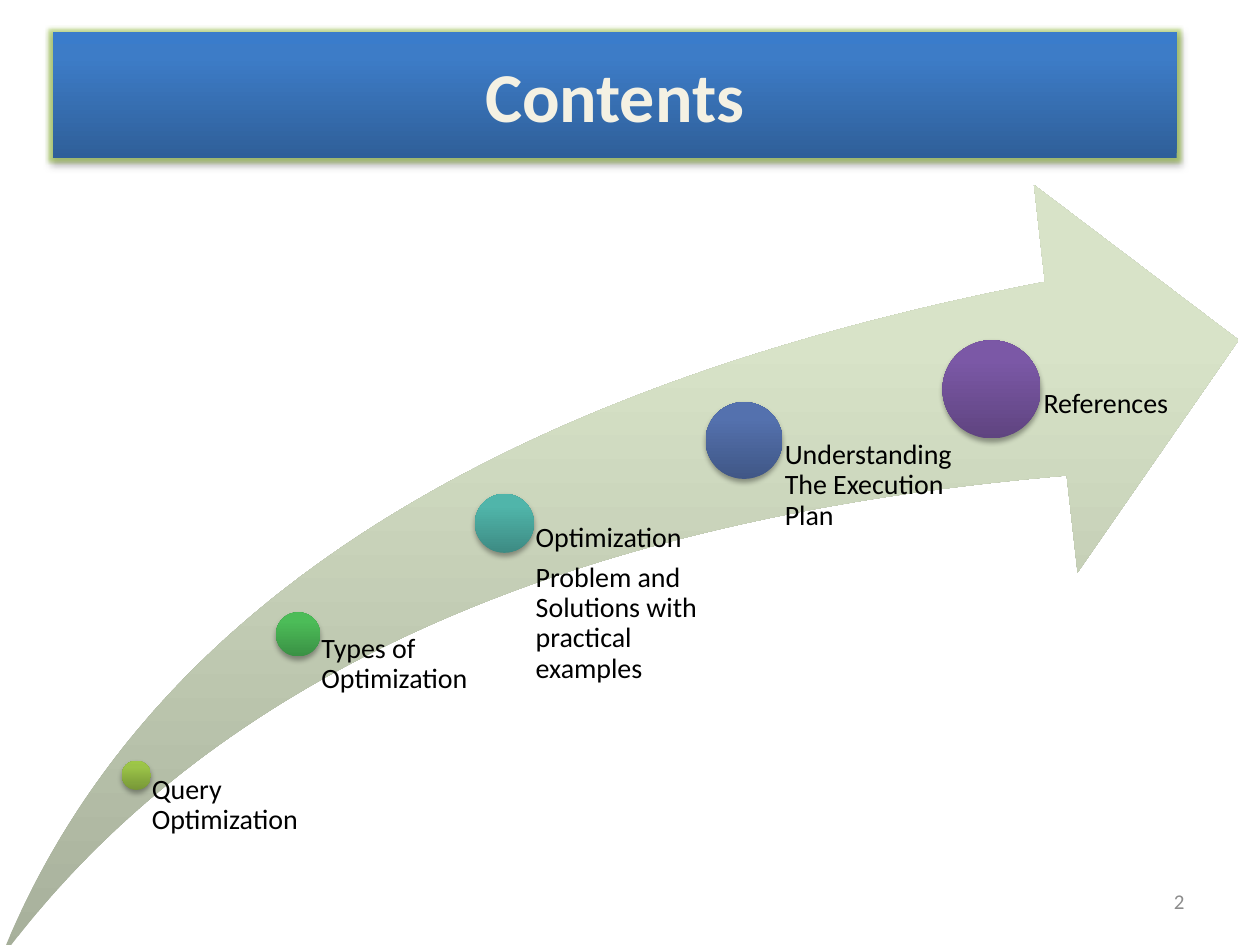
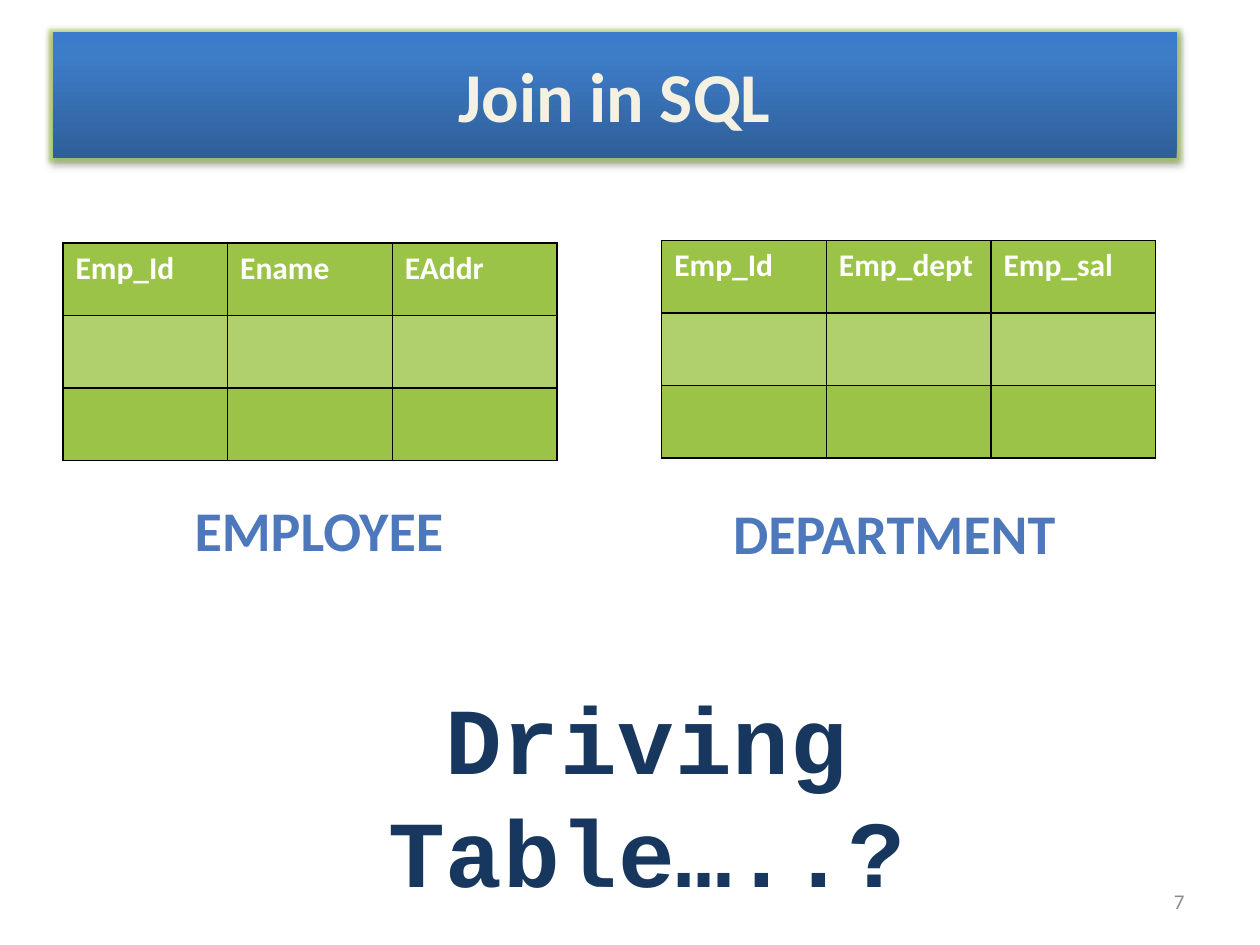
from copy import deepcopy
from dataclasses import dataclass

from lxml import etree
from pptx import Presentation
from pptx.dml.color import RGBColor
from pptx.enum.shapes import MSO_SHAPE
from pptx.enum.text import MSO_ANCHOR, MSO_AUTO_SIZE, PP_ALIGN
from pptx.oxml.ns import qn
from pptx.util import Cm, Pt

ELLIPSE = MSO_SHAPE.OVAL
SWOOSH = MSO_SHAPE.SWOOSH_ARROW
TOP, MIDDLE = MSO_ANCHOR.TOP, MSO_ANCHOR.MIDDLE
LEFT, CENTER, RIGHT = PP_ALIGN.LEFT, PP_ALIGN.CENTER, PP_ALIGN.RIGHT
GROW = MSO_AUTO_SIZE.SHAPE_TO_FIT_TEXT
TITLE_ONLY = 5

COLORS = {
    "title": "F4F1E3",
    "page": "8C8C8C",
    "text": "000000",
    "shadow": "000000",
    "border": "000000",
    "glow": "9BC348",
    "header": "FFFFFF",
    "row": "9BC348",
    "row_light": "AFD06D",
    "caption": "4D79BC",
    "question": "17375E",
}
GRADIENTS = {
    "band": ("2F5F99", "3D7CC7", "3A7CCB"),
    "arrow": ("A6AF9A", "D8E3C8", "D9E4C8"),
    "lime": ("779737", "9BC348", "9DC746"),
    "green": ("3A9144", "4CBC58", "4ABF57"),
    "teal": ("3D8B83", "50B5AA", "4EB8AC"),
    "blue": ("405786", "5471AE", "5271B0"),
    "purple": ("5F4480", "7B58A6", "7C57A8"),
}
GRADIENT_POSITIONS = (0, 0.8, 1)

FONTS = {
    "title": {"name": "Calibri", "size": Pt(40), "bold": True},
    "page": {"name": "Calibri", "size": Pt(12), "bold": False},
    "text": {"name": "Calibri", "size": Pt(16), "bold": False},
    "header": {"name": "Calibri", "size": Pt(18), "bold": True},
    "caption": {"name": "Calibri", "size": Pt(32), "bold": True},
    "question": {"name": "Courier New", "size": Pt(54), "bold": True},
}
TOPIC_SPACING = {"line_spacing": 0.9, "space_after": Pt(5.6)}
ARROW_BOTTOM = 19.35
LABEL_INDENT = 0.53


@dataclass(frozen=True)
class Box:
    left: float
    top: float
    width: float
    height: float

    def lengths(self) -> tuple:
        return Cm(self.left), Cm(self.top), Cm(self.width), Cm(self.height)


@dataclass(frozen=True)
class Topic:
    lines: tuple[str, ...]
    gradient: str
    center_x: float
    center_y: float
    diameter: float
    label_width: float


@dataclass(frozen=True)
class Relation:
    caption: str
    columns: tuple[str, ...]
    left: float
    top: float
    caption_box: Box


TITLE_BOX = Box(1.06, 0.64, 22.66, 2.54)
PAGE_BOX = Box(18.21, 17.65, 5.92, 1.02)
ARROW_BOX = Box(0, 3.73, 24.97, 15.62)
QUESTION_BOX = Box(6.15, 13.31, 13.79, 2.57)
COLUMN_WIDTH, ROW_HEIGHT = 3.32, 1.46
ROW_FILLS = ("row", "row_light", "row")

TOPICS = (
    Topic(("Query Optimization",), "lime", 2.75, 15.63, 0.59, 3.28),
    Topic(("Types of Optimization",), "green", 6.01, 12.79, 0.89, 4.14),
    Topic(("Optimization", "Problem and Solutions with practical examples"),
          "teal", 10.17, 10.55, 1.19, 4.83),
    Topic(("Understanding The Execution Plan",), "blue", 15, 8.88, 1.55, 5),
    Topic(("References",), "purple", 19.99, 7.85, 1.98, 5),
)
RELATIONS = (
    Relation("EMPLOYEE", ("Emp_Id", "Ename", "EAddr"), 1.27, 4.9,
             Box(3.42, 9.86, 6.02, 1.63)),
    Relation("DEPARTMENT", ("Emp_Id", "Emp_dept", "Emp_sal"), 13.34, 4.85,
             Box(14.5, 9.93, 7.06, 1.63)),
)


def color(key: str) -> RGBColor:
    return RGBColor.from_string(COLORS[key])


def apply(target, values: dict) -> None:
    for name, value in values.items():
        setattr(target, name, value)


def write(frame, lines: tuple[str, ...], role: str, align=LEFT,
          spacing: dict | None = None) -> None:
    for number, line in enumerate(lines):
        paragraph = frame.add_paragraph() if number else frame.paragraphs[0]
        paragraph.alignment = align
        apply(paragraph, spacing or {})
        run = paragraph.add_run()
        run.text = line
        apply(run.font, FONTS[role])
        run.font.color.rgb = color(role)


def add_text(slide, box: Box, lines: tuple[str, ...], role: str, align=LEFT,
             spacing: dict | None = None, **frame_format):
    frame = slide.shapes.add_textbox(*box.lengths()).text_frame
    apply(frame, {"word_wrap": True, **frame_format})
    write(frame, lines, role, align, spacing)
    return frame


def fill_gradient(shape, key: str) -> None:
    shape.fill.gradient()
    shape.fill.gradient_angle = 90
    stop_list = shape._element.spPr.find(qn("a:gradFill")).find(qn("a:gsLst"))
    stop_list.append(deepcopy(stop_list[-1]))
    stops = zip(shape.fill.gradient_stops, GRADIENTS[key], GRADIENT_POSITIONS)
    for stop, value, position in stops:
        stop.color.rgb = RGBColor.from_string(value)
        stop.position = position
    shape.line.fill.background()
    shape.shadow.inherit = False


def add_effect(shape, tag: str, key: str, alpha: int, **settings: str) -> None:
    effects = shape._element.spPr.find(qn("a:effectLst"))
    effect = etree.SubElement(effects, qn(tag), settings)
    tint = etree.SubElement(effect, qn("a:srgbClr"), val=COLORS[key])
    etree.SubElement(tint, qn("a:alpha"), val=str(alpha * 1000))


def add_shadow(shape) -> None:
    add_effect(shape, "a:outerShdw", "shadow", 35, blurRad=str(Pt(3.1)),
               dist=str(Pt(1.8)), dir="5400000", rotWithShape="0")


def add_slide(deck, heading: str, page: str):
    slide = deck.slides.add_slide(deck.slide_layouts[TITLE_ONLY])
    title = slide.shapes.title
    title.left, title.top, title.width, title.height = TITLE_BOX.lengths()
    outline = etree.Element(qn("a:prstGeom"), prst="roundRect")
    etree.SubElement(outline, qn("a:avLst"))
    title._element.spPr.insert(1, outline)
    fill_gradient(title, "band")
    add_effect(title, "a:glow", "glow", 60, rad=str(Pt(4)))
    add_shadow(title)
    title.text_frame.vertical_anchor = MIDDLE
    write(title.text_frame, (heading,), "title", CENTER)
    add_text(slide, PAGE_BOX, (page,), "page", RIGHT, vertical_anchor=MIDDLE)
    return slide


def add_topic(slide, topic: Topic) -> None:
    radius = topic.diameter / 2
    dot = Box(topic.center_x - radius, topic.center_y - radius,
              topic.diameter, topic.diameter)
    marker = slide.shapes.add_shape(ELLIPSE, *dot.lengths())
    fill_gradient(marker, topic.gradient)
    add_shadow(marker)
    label = Box(topic.center_x, topic.center_y, topic.label_width,
                ARROW_BOTTOM - topic.center_y)
    add_text(slide, label, topic.lines, "text", spacing=TOPIC_SPACING,
             margin_left=Cm(topic.diameter * LABEL_INDENT), margin_top=0,
             margin_right=0, margin_bottom=0, vertical_anchor=TOP)


def add_borders(cell) -> None:
    properties = cell._tc.get_or_add_tcPr()
    for side in ("a:lnL", "a:lnR", "a:lnT", "a:lnB"):
        line = etree.SubElement(properties, qn(side), w=str(Pt(1)))
        solid = etree.SubElement(line, qn("a:solidFill"))
        etree.SubElement(solid, qn("a:srgbClr"), val=COLORS["border"])


def add_relation(slide, relation: Relation) -> None:
    rows, columns = len(ROW_FILLS), len(relation.columns)
    box = Box(relation.left, relation.top,
              columns * COLUMN_WIDTH, rows * ROW_HEIGHT)
    table = slide.shapes.add_table(rows, columns, *box.lengths()).table
    for row, fill in enumerate(ROW_FILLS):
        for column in range(columns):
            cell = table.cell(row, column)
            add_borders(cell)
            cell.fill.solid()
            cell.fill.fore_color.rgb = color(fill)
    for column, name in enumerate(relation.columns):
        write(table.cell(0, column).text_frame, (name,), "header")
    add_text(slide, relation.caption_box, (relation.caption,), "caption", CENTER)


def build_contents(deck) -> None:
    slide = add_slide(deck, "Contents", "2")
    arrow = slide.shapes.add_shape(SWOOSH, *ARROW_BOX.lengths())
    for number in range(2):
        arrow.adjustments[number] = 0.25
    fill_gradient(arrow, "arrow")
    for topic in TOPICS:
        add_topic(slide, topic)


def build_join(deck) -> None:
    slide = add_slide(deck, "Join in SQL", "7")
    for relation in RELATIONS:
        add_relation(slide, relation)
    question = add_text(slide, QUESTION_BOX, ("Driving Table…..?",), "question",
                        CENTER, {"line_spacing": Pt(64.6)},
                        margin_top=Cm(0.4), auto_size=GROW)
    question.paragraphs[0].runs[0]._r.get_or_add_rPr().set("spc", "50")


def main() -> None:
    deck = Presentation()
    deck.slide_width, deck.slide_height = Cm(25.4), Cm(19.05)
    build_contents(deck)
    build_join(deck)
    deck.save("out.pptx")


if __name__ == "__main__":
    main()
